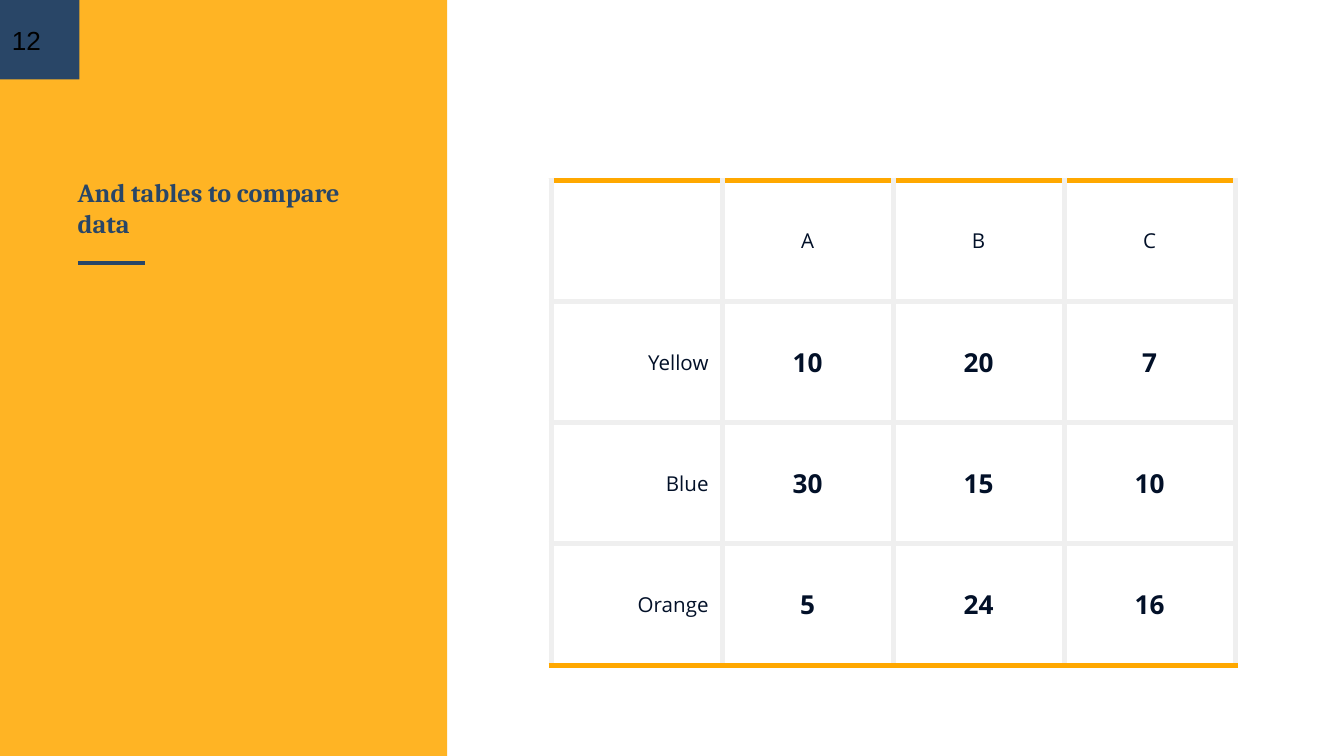
from dataclasses import dataclass

from lxml.etree import SubElement
from pptx import Presentation
from pptx.dml.color import RGBColor
from pptx.enum.shapes import MSO_CONNECTOR, MSO_SHAPE
from pptx.enum.text import MSO_ANCHOR as Anchor, PP_ALIGN as Align
from pptx.oxml.ns import qn
from pptx.util import Inches, Pt

COLORS = {
    "amber": "FFA800",
    "white": "FFFFFF",
    "navy": "294667",
    "ink": "021028",
    "grid": "EFEFEF",
    "black": "000000",
}
ROWS = [
    ["", "A", "B", "C"],
    ["Yellow", "10", "20", "7"],
    ["Blue", "30", "15", "10"],
    ["Orange", "5", "24", "16"],
]
SLIDE_WIDTH = 10
SLIDE_HEIGHT = SLIDE_WIDTH * 9 / 16
SIDEBAR_WIDTH = 3.33
TABLE_WIDTH, TABLE_HEIGHT = 5.09, 3.61


@dataclass
class Panel:
    left: float
    top: float
    width: float
    height: float
    color: str
    opacity: int = 100


@dataclass
class Label:
    left: float
    top: float
    width: float
    height: float
    text: str
    font: str
    color: str
    bold: bool
    anchor: Anchor


PANELS = [
    Panel(0, 0, SIDEBAR_WIDTH, SLIDE_HEIGHT, "amber", 86),
    Panel(SIDEBAR_WIDTH, 0, SLIDE_WIDTH - SIDEBAR_WIDTH, SLIDE_HEIGHT, "white"),
    Panel(0, 0, 0.59, 0.59, "navy"),
]
LABELS = [
    Label(0.48, 1.14, 2.35, 0.74, "And tables to compare data", "Cambria", "navy", True, Anchor.BOTTOM),
    Label(-0.01, 0, 0.6, 0.59, "12", "Arial", "black", False, Anchor.MIDDLE),
]


def rgb(name: str) -> RGBColor:
    """Return the named colour."""
    return RGBColor.from_string(COLORS[name])


def write_text(frame, text: str, *, font: str, size: float, color: str,
               bold: bool = False, align: Align = Align.LEFT) -> None:
    """Write one formatted paragraph into a text frame."""
    paragraph = frame.paragraphs[0]
    paragraph.alignment = align
    run = paragraph.add_run()
    run.text = text
    run.font.name = font
    run.font.size = Pt(size)
    run.font.bold = bold
    run.font.color.rgb = rgb(color)


def draw_panel(slide, panel: Panel) -> None:
    """Draw a plain rectangle, see-through if its opacity is below 100."""
    shape = slide.shapes.add_shape(
        MSO_SHAPE.RECTANGLE, Inches(panel.left), Inches(panel.top),
        Inches(panel.width), Inches(panel.height))
    shape.shadow.inherit = False
    shape.fill.solid()
    shape.fill.fore_color.rgb = rgb(panel.color)
    shape.line.fill.background()
    if panel.opacity < 100:
        color = next(shape._element.spPr.iter(qn("a:srgbClr")))
        SubElement(color, qn("a:alpha"), val=str(panel.opacity * 1000))


def draw_rule(slide) -> None:
    """Draw the short line under the title."""
    rule = slide.shapes.add_connector(
        MSO_CONNECTOR.STRAIGHT, Inches(0.58), Inches(1.96), Inches(1.08), Inches(1.96))
    rule.line.color.rgb = rgb("navy")
    rule.line.width = Pt(2.25)
    SubElement(rule._element.spPr, qn("a:effectLst"))


def draw_label(slide, label: Label) -> None:
    """Draw a wrapped text box."""
    frame = slide.shapes.add_textbox(
        Inches(label.left), Inches(label.top),
        Inches(label.width), Inches(label.height)).text_frame
    frame.word_wrap = True
    frame.vertical_anchor = label.anchor
    frame.margin_left = frame.margin_right = Inches(0.1)
    frame.margin_top = frame.margin_bottom = Inches(0.1)
    write_text(frame, label.text, font=label.font, size=14, color=label.color, bold=label.bold)


def set_borders(cell, top: str, bottom: str) -> None:
    """Give a cell grid-coloured sides and the named top and bottom edges."""
    properties = cell._tc.get_or_add_tcPr()
    edges = {"lnL": "grid", "lnR": "grid", "lnT": top, "lnB": bottom}
    for tag, color in edges.items():
        line = SubElement(properties, qn(f"a:{tag}"), w=str(Pt(3)))
        fill = SubElement(line, qn("a:solidFill"))
        SubElement(fill, qn("a:srgbClr"), val=COLORS[color])


def draw_table(slide) -> None:
    """Draw the comparison table."""
    last_row = len(ROWS) - 1
    table = slide.shapes.add_table(
        len(ROWS), len(ROWS[0]), Inches(4.1), Inches(1.34),
        Inches(TABLE_WIDTH), Inches(TABLE_HEIGHT)).table
    table.first_row = table.horz_banding = False
    for row_index, values in enumerate(ROWS):
        for column_index, value in enumerate(values):
            cell = table.cell(row_index, column_index)
            set_borders(cell, "amber" if row_index == 0 else "grid",
                        "amber" if row_index == last_row else "grid")
            cell.fill.background()
            cell.vertical_anchor = Anchor.MIDDLE
            cell.margin_left = cell.margin_right = Inches(0.1)
            cell.margin_top = cell.margin_bottom = Inches(0.07)
            if value:
                is_number = row_index > 0 and column_index > 0
                write_text(cell.text_frame, value, font="Open Sans", color="ink",
                           size=14 if is_number else 11, bold=is_number,
                           align=Align.CENTER if column_index else Align.RIGHT)


def main() -> None:
    """Build and save the slide."""
    presentation = Presentation()
    presentation.slide_width = Inches(SLIDE_WIDTH)
    presentation.slide_height = Inches(SLIDE_HEIGHT)
    slide = presentation.slides.add_slide(presentation.slide_layouts[6])
    for panel in PANELS:
        draw_panel(slide, panel)
    draw_rule(slide)
    draw_table(slide)
    for label in LABELS:
        draw_label(slide, label)
    presentation.save("out.pptx")


if __name__ == "__main__":
    main()
